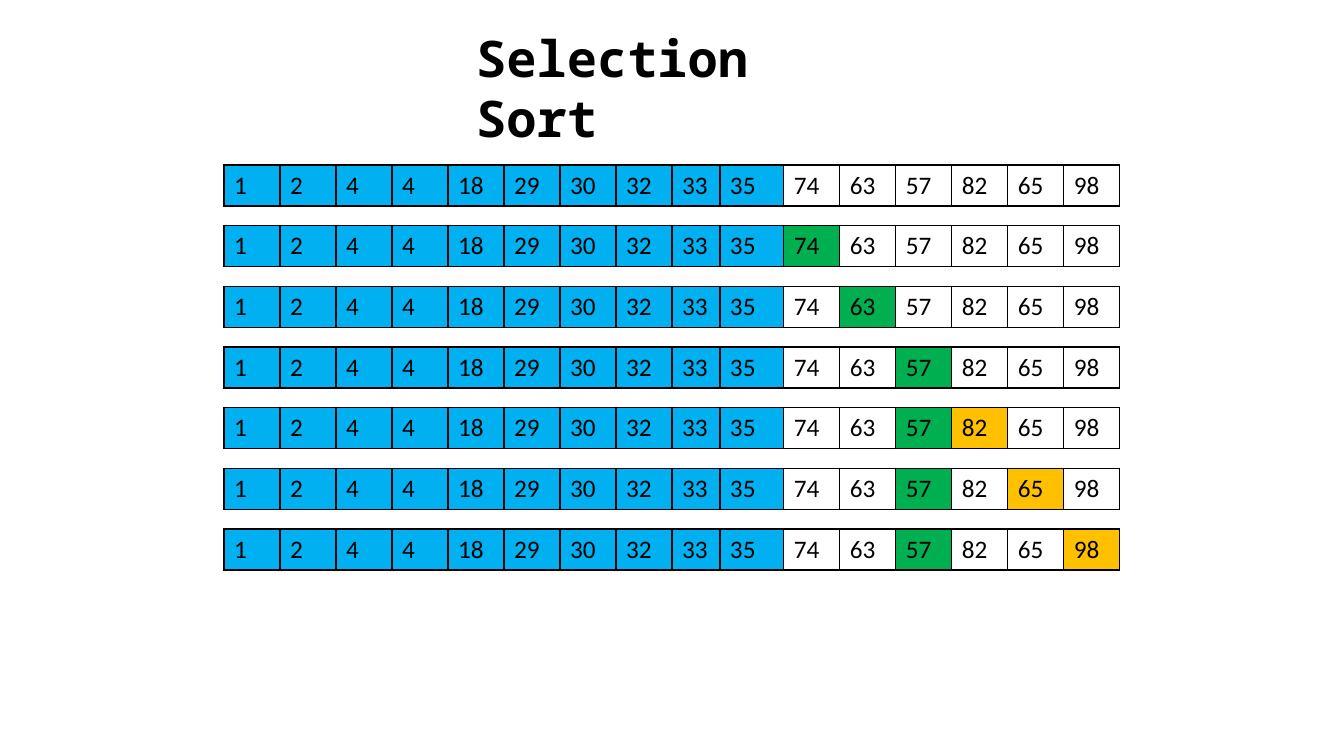
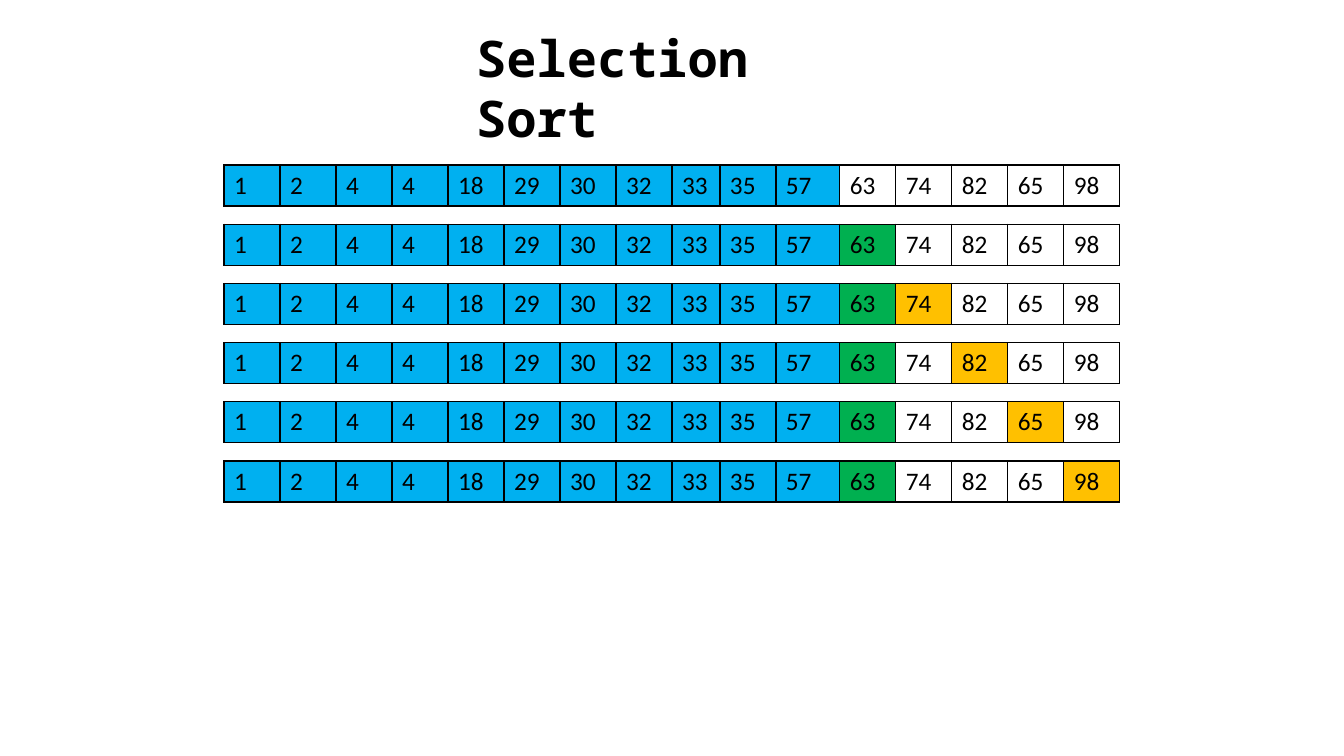
from lxml import etree
from pptx import Presentation
from pptx.dml.color import RGBColor
from pptx.enum.text import MSO_ANCHOR, MSO_AUTO_SIZE, PP_ALIGN
from pptx.oxml.ns import qn
from pptx.util import Pt

TOP, LEFT = MSO_ANCHOR.TOP, PP_ALIGN.LEFT
GROW = MSO_AUTO_SIZE.SHAPE_TO_FIT_TEXT

BLACK = RGBColor(0x00, 0x00, 0x00)
SORTED_BLUE = RGBColor(0x00, 0xB0, 0xF0)
MINIMUM_GREEN = RGBColor(0x00, 0xB0, 0x50)
PROBE_AMBER = RGBColor(0xFF, 0xC0, 0x00)

TITLE_FONT, CELL_FONT = "Noto Sans Mono", "Calibri"
TITLE_ONLY = 5
SLIDE_W, SLIDE_H = 1344, 756
TITLE_BOX = (466, 22, 412, 72)
ROW_H, CELL_W = 41, 56
NARROW_COLUMN, NARROW_W, WIDE_W = 8, 48, 64
BORDER_TAGS = ("a:lnL", "a:lnR", "a:lnT", "a:lnB")


def px(length):
    """Turn pixels into EMU."""
    return round(length * 914400 / 100.8)


def style_run(r, font, size, bold=False):
    """Format one run of black text."""
    r.font.name, r.font.size, r.font.bold = font, Pt(size), bold
    r.font.color.rgb = BLACK


def add_title(slide, box, text):
    """Place the title placeholder in the box."""
    sp = slide.shapes.title
    sp.left, sp.top, sp.width, sp.height = map(px, box)
    tf = sp.text_frame
    tf.text = text
    tf.word_wrap, tf.auto_size, tf.vertical_anchor = True, GROW, TOP
    p = tf.paragraphs[0]
    p.alignment = LEFT
    style_run(p.runs[0], TITLE_FONT, 36, bold=True)


def add_borders(cell):
    """Draw a thin black line on all four sides of a cell."""
    tc_pr = cell._tc.get_or_add_tcPr()
    for i, tag in enumerate(BORDER_TAGS):
        ln = etree.Element(qn(tag), w=str(Pt(1)))
        fill = etree.SubElement(ln, qn("a:solidFill"))
        etree.SubElement(fill, qn("a:srgbClr"), val=str(BLACK))
        tc_pr.insert(i, ln)


def column_widths(count, sorted_count):
    """Give equal columns, but one narrow and the last sorted one wide."""
    widths = [CELL_W] * count
    widths[NARROW_COLUMN] = NARROW_W
    widths[sorted_count - 1] = WIDE_W
    return widths


def add_array(slide, box, values, sorted_count, marks):
    """Draw the array as a one-row table, colouring the marked cells."""
    frame = slide.shapes.add_table(1, len(values), *map(px, box))
    table = frame.table
    table.first_row = table.horz_banding = False
    for i, width in enumerate(column_widths(len(values), sorted_count)):
        table.columns[i].width = px(width)
        cell = table.cell(0, i)
        cell.text = str(values[i])
        style_run(cell.text_frame.paragraphs[0].runs[0], CELL_FONT, 18)
        color = SORTED_BLUE if i < sorted_count else marks.get(i)
        if color is None:
            cell.fill.background()
        else:
            cell.fill.solid()
            cell.fill.fore_color.rgb = color
        add_borders(cell)


def scan_marks(values, start):
    """Return the coloured cells after each step of the search for the minimum."""
    steps, minimum = [{}], start
    for probe in range(start, len(values)):
        if values[probe] < values[minimum]:
            minimum = probe
        steps.append({probe: PROBE_AMBER, minimum: MINIMUM_GREEN})
    return steps


def add_pass_slide(prs, values, sorted_count, box):
    """Show one pass of the sort, its steps spread evenly down the box."""
    slide = prs.slides.add_slide(prs.slide_layouts[TITLE_ONLY])
    add_title(slide, TITLE_BOX, "Selection Sort")
    left, top, width, height = box
    steps = scan_marks(values, sorted_count)
    pitch = (height - ROW_H) / (len(steps) - 1)
    for i, marks in enumerate(steps):
        row_box = (left, top + i * pitch, width, ROW_H)
        add_array(slide, row_box, values, sorted_count, marks)


prs = Presentation()
prs.slide_width, prs.slide_height = px(SLIDE_W), px(SLIDE_H)
head = [1, 2, 4, 4, 18, 29, 30, 32, 33, 35]
add_pass_slide(prs, head + [74, 63, 57, 82, 65, 98], 10, (224, 165, 896, 405))
add_pass_slide(prs, head + [57, 63, 74, 82, 65, 98], 11, (224, 165, 896, 337))
prs.save("out.pptx")
